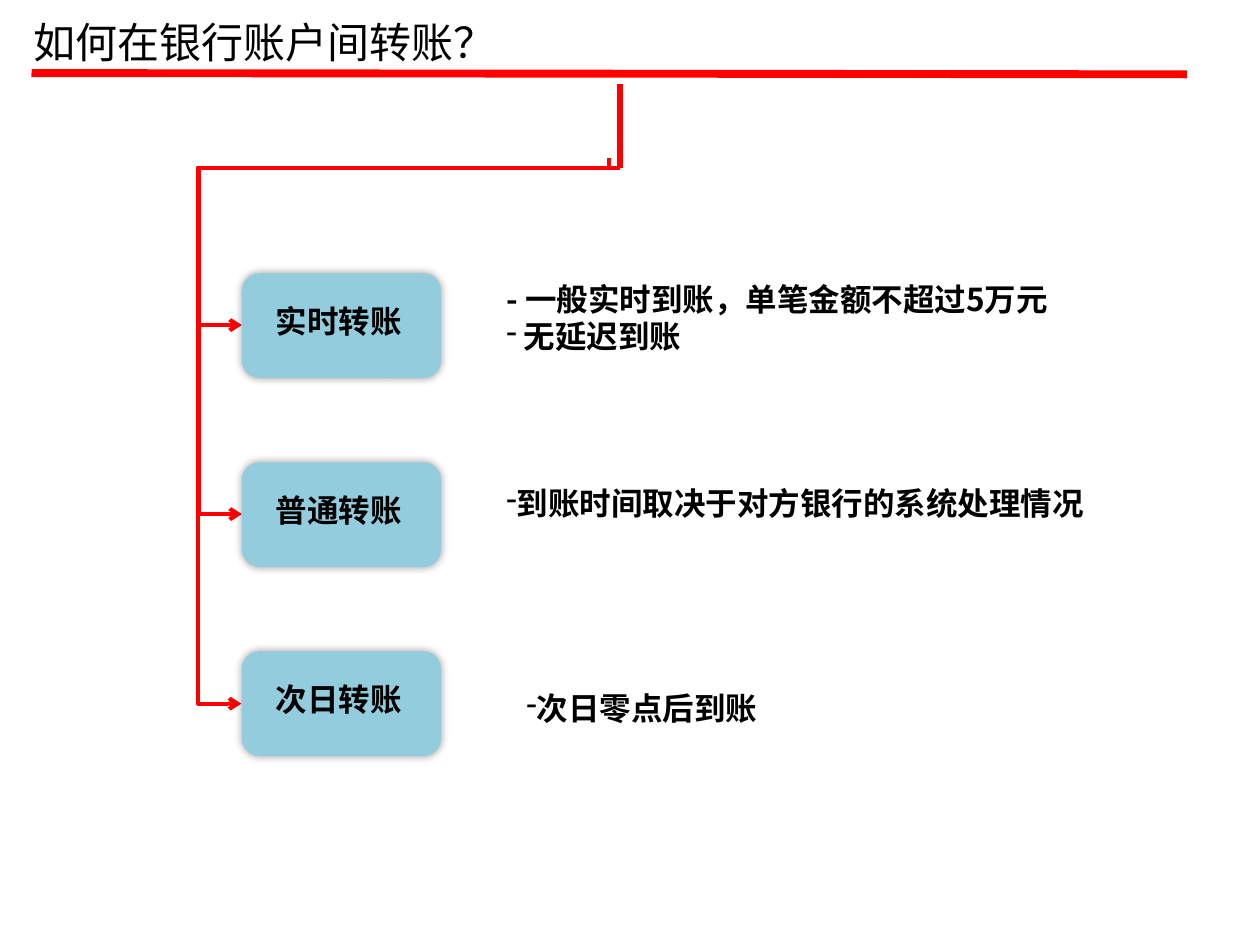
from lxml.etree import SubElement
from pptx import Presentation
from pptx.dml.color import RGBColor
from pptx.enum.shapes import MSO_CONNECTOR, MSO_SHAPE
from pptx.enum.text import MSO_AUTO_SIZE
from pptx.oxml.ns import qn
from pptx.util import Inches, Pt

RED = RGBColor(0xFF, 0x00, 0x00)
BLUE = RGBColor(0x93, 0xCD, 0xDD)
BLACK = RGBColor(0x00, 0x00, 0x00)
FONT = "Noto Sans CJK SC"
TITLE = {"size": Pt(24), "bold": False, "name": FONT}
BODY = {"size": Pt(18), "bold": True, "name": FONT}

presentation = Presentation()
presentation.slide_width, presentation.slide_height = Inches(10), Inches(7.5)
slide = presentation.slides.add_slide(presentation.slide_layouts[6])


def add_text(box, lines, font_format):
    """Add a text box; each line is (text, bulleted, hanging indent)."""
    text_box = slide.shapes.add_textbox(*[Inches(value) for value in box])
    frame = text_box.text_frame
    frame.word_wrap = True
    frame.auto_size = MSO_AUTO_SIZE.SHAPE_TO_FIT_TEXT
    for index, (text, bulleted, indent) in enumerate(lines):
        paragraph = frame.add_paragraph() if index else frame.paragraphs[0]
        run = paragraph.add_run()
        run.text = text
        for name, value in font_format.items():
            setattr(run.font, name, value)
        run.font.color.rgb = BLACK
        SubElement(run.font._element, qn("a:ea"), typeface=FONT)
        if bulleted:
            properties = paragraph._p.get_or_add_pPr()
            properties.set("marL", "0")
            properties.set("indent", str(Inches(indent)))
            SubElement(properties, qn("a:buFontTx"))
            SubElement(properties, qn("a:buChar"), char="-")


def add_line(kind, start, end, width, arrow=False):
    """Add a red connector without a shadow."""
    points = [Inches(value) for value in (*start, *end)]
    connector = slide.shapes.add_connector(kind, *points)
    connector.line.color.rgb = RED
    connector.line.width = Pt(width)
    if arrow:
        SubElement(connector.line._get_or_add_ln(), qn("a:tailEnd"), type="arrow")
    SubElement(connector._element.spPr, qn("a:effectLst"))
    return connector


# Title and rule
add_text((0.17, 0.08, 9.83, 0.5), [("如何在银行账户间转账？", False, 0)], TITLE)
add_line(MSO_CONNECTOR.STRAIGHT, (0.25, 0.58), (9.42, 0.59), 4.5)

# Trunk and branches: start, end, preset, rotation, adjustments
add_line(MSO_CONNECTOR.STRAIGHT, (4.92, 1.33), (4.92, 0.67), 3)
branches = [
    ((4.92, 1.33), (1.92, 2.58), "bentConnector3", 0, [111600]),
    ((4.84, 1.33), (1.92, 4.08), "bentConnector3", 0, [111600]),
    ((1.21, 1.96), (5.54, 4.88), "bentConnector4", 90, [1800, 111700]),
]
for start, end, preset, rotation, adjustments in branches:
    connector = add_line(MSO_CONNECTOR.ELBOW, start, end, 2.25, arrow=True)
    properties = connector._element.spPr
    if rotation:
        properties.find(qn("a:xfrm")).set("rot", str(rotation * 60000))
    geometry = properties.find(qn("a:prstGeom"))
    geometry.set("prst", preset)
    guides = geometry.find(qn("a:avLst"))
    if guides is None:
        guides = SubElement(geometry, qn("a:avLst"))
    for number, value in enumerate(adjustments, 1):
        SubElement(guides, qn("a:gd"), name=f"adj{number}", fmla=f"val {value}")

# Transfer types: label, description box, description lines
transfers = [
    ("实时转账", (3.92, 2.17, 5.3, 0.71),
     [("- 一般实时到账，单笔金额不超过5万元", False, 0), (" 无延迟到账", True, 0)]),
    ("普通转账", (3.92, 3.79, 5.3, 0.4),
     [("到账时间取决于对方银行的系统处理情况", True, -0.38)]),
    ("次日转账", (4.08, 5.42, 3.92, 0.4), [("次日零点后到账", True, -0.38)]),
]
for row, (label, description_box, description) in enumerate(transfers):
    top = 2.17 + 1.5 * row
    shape = slide.shapes.add_shape(
        MSO_SHAPE.ROUNDED_RECTANGLE, Inches(1.92), Inches(top), Inches(1.58), Inches(0.83))
    shape.fill.solid()
    shape.fill.fore_color.rgb = BLUE
    shape.line.fill.background()

    # Soft shadow around the box
    shape.shadow.inherit = False
    effects = shape._element.spPr.find(qn("a:effectLst"))
    shadow = SubElement(effects, qn("a:outerShdw"), blurRad=str(Pt(5)), dist="0",
                        dir="0", algn="ctr", rotWithShape="0")
    color = SubElement(shadow, qn("a:srgbClr"), val=str(BLACK))
    SubElement(color, qn("a:alpha"), val="40000")

    add_text((2.09, top + 0.18, 1.32, 0.4), [(label, False, 0)], BODY)
    add_text(description_box, description, BODY)

presentation.save("out.pptx")
